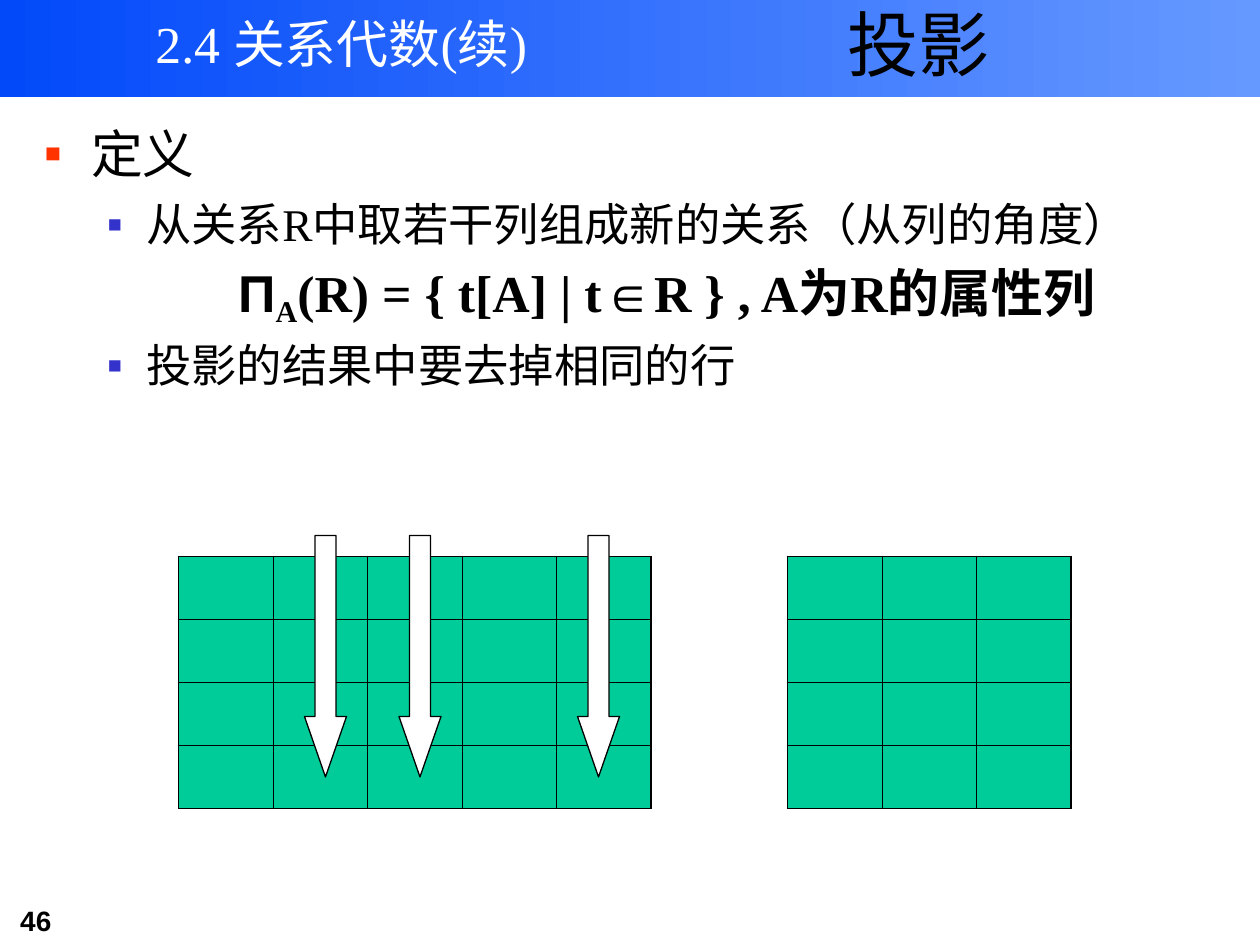
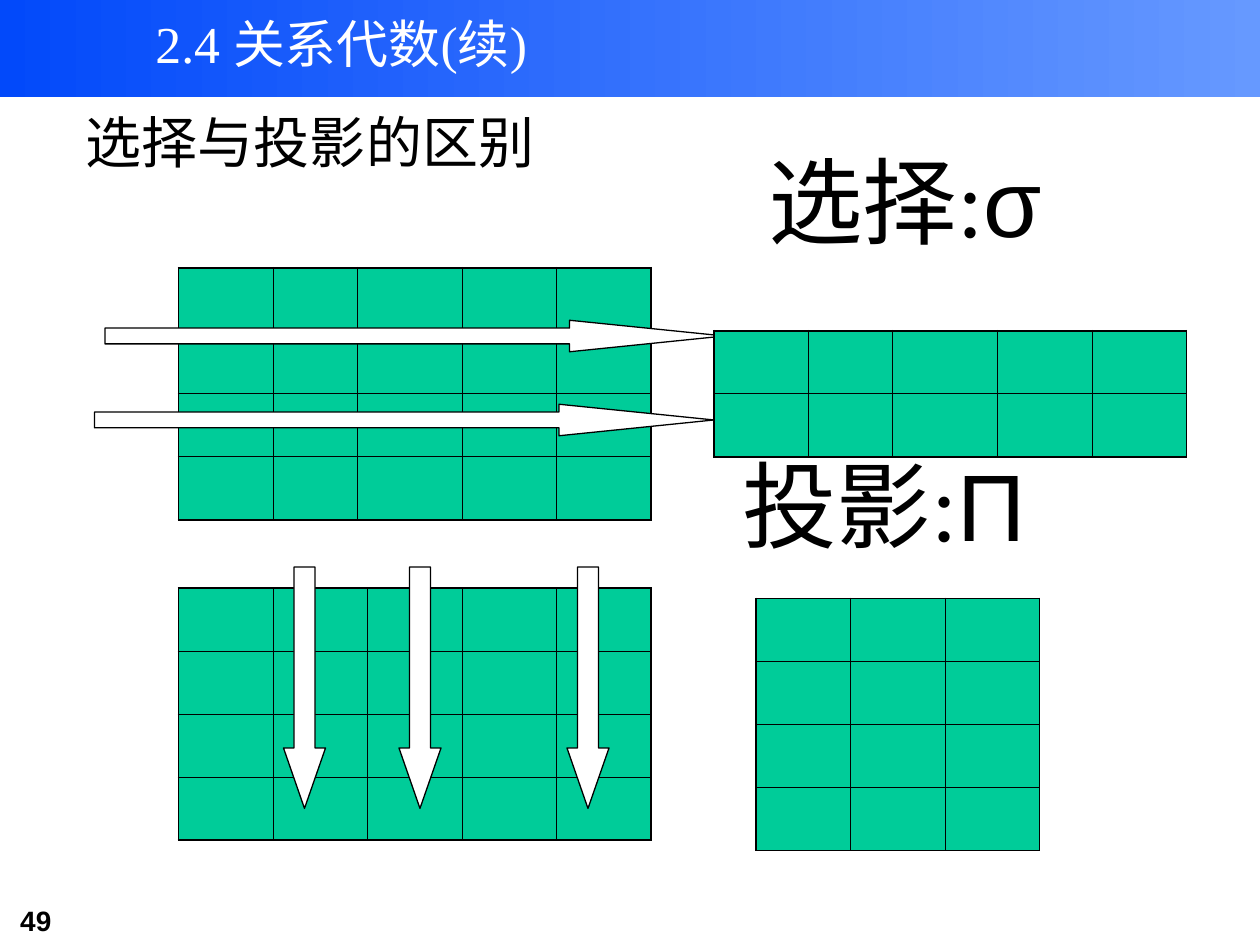
from lxml.etree import SubElement
from pptx import Presentation
from pptx.dml.color import RGBColor
from pptx.enum.lang import MSO_LANGUAGE_ID
from pptx.enum.shapes import MSO_SHAPE
from pptx.enum.text import MSO_ANCHOR, PP_ALIGN
from pptx.oxml.ns import qn
from pptx.util import Pt

# Shared style: 96 px to the inch
PX = 9525
BLACK = RGBColor(0x00, 0x00, 0x00)
WHITE = RGBColor(0xFF, 0xFF, 0xFF)
BAND_LEFT = RGBColor(0x02, 0x49, 0xFA)
BAND_RIGHT = RGBColor(0x66, 0x99, 0xFF)
CELL_GREEN = RGBColor(0x00, 0xCC, 0x99)
RED = RGBColor(0xFF, 0x33, 0x00)
BLUE = RGBColor(0x33, 0x33, 0xCC)
SERIF = "Times New Roman"
SANS = "Arial"
OUTER_LINE, INNER_LINE = Pt(1.08), Pt(0.45)

# Relation grids
ROW_HEIGHT = 48
EVEN_COLUMNS = [72] * 5
UNEVEN_COLUMNS = [72, 64, 80, 72, 72]
PROJECTED_COLUMNS = [72] * 3


def emu(*lengths):
    return [length * PX for length in lengths]


class Painter:
    def __init__(self):
        self.deck = Presentation()
        self.deck.slide_width, self.deck.slide_height = emu(960, 720)
        self.page = None

    def add_page(self, number):
        self.page = self.deck.slides.add_slide(self.deck.slide_layouts[6])
        band = self.shape(MSO_SHAPE.RECTANGLE, 0, 0, 960, 74)
        band.line.fill.background()
        band.fill.gradient()
        band.fill.gradient_angle = 0
        for stop, color in zip(band.fill.gradient_stops, (BAND_LEFT, BAND_RIGHT)):
            stop.color.rgb = color
        self.label(6, 684, 117, 36, [(number, SANS)], 16, bold=True)
        self.label(88, 1, 344, 64, [("2.4 关系代数(续)", SERIF)], 29.6, WHITE,
                   PP_ALIGN.CENTER, MSO_ANCHOR.MIDDLE)

    def shape(self, kind, *place):
        shape = self.page.shapes.add_shape(kind, *emu(*place))
        shape.shadow.inherit = False
        return shape

    def arrow(self, kind, left, top, width, height, head):
        arrow = self.shape(kind, left, top, width, height)
        arrow.adjustments[0] = 0.5
        arrow.adjustments[1] = head / min(width, height)
        arrow.fill.solid()
        arrow.fill.fore_color.rgb = WHITE
        arrow.line.color.rgb = BLACK
        arrow.line.width = Pt(0.75)

    def down_arrows(self, lefts, top):
        for left in lefts:
            self.arrow(MSO_SHAPE.DOWN_ARROW, left, top, 32, 184, 46)

    def text_box(self, *place, anchor=MSO_ANCHOR.TOP):
        frame = self.page.shapes.add_textbox(*emu(*place)).text_frame
        frame.word_wrap = True
        frame.vertical_anchor = anchor
        return frame

    def spans(self, para, runs, size, color=BLACK, bold=False):
        """Add runs given as (text, font) or (text, font, baseline)."""
        for text, font, *baseline in runs:
            span = para.add_run()
            span.text = text
            span.font.name = font
            span.font.size = Pt(size)
            span.font.bold = bold
            span.font.color.rgb = color
            span.font.language_id = MSO_LANGUAGE_ID.SIMPLIFIED_CHINESE
            if baseline:
                span.font._element.set("baseline", str(baseline[0] * 1000))

    def label(self, left, top, width, height, runs, size, color=BLACK,
              align=PP_ALIGN.LEFT, anchor=MSO_ANCHOR.TOP, bold=False):
        para = self.text_box(left, top, width, height, anchor=anchor).paragraphs[0]
        para.alignment = align
        self.spans(para, runs, size, color, bold)

    def indent(self, para, margin, hanging, bullet=None):
        properties = para._p.get_or_add_pPr()
        properties.set("marL", str(margin * PX))
        properties.set("indent", str(-hanging * PX))
        if bullet:
            color = SubElement(properties, qn("a:buClr"))
            SubElement(color, qn("a:srgbClr"), val=str(bullet))
            SubElement(properties, qn("a:buFont"), typeface=SANS)
            SubElement(properties, qn("a:buChar"), char="▪")

    def sub_point(self, frame, runs, size=25.9, before=7, bullet=BLUE, bold=False):
        para = frame.add_paragraph()
        para.level = 1
        self.indent(para, 78, 30, bullet)
        para.space_before = Pt(before)
        self.spans(para, runs, size, bold=bold)
        return para

    def border(self, cell, side, width):
        line = SubElement(cell._tc.get_or_add_tcPr(), qn(f"a:ln{side}"), w=str(width))
        fill = SubElement(line, qn("a:solidFill"))
        SubElement(fill, qn("a:srgbClr"), val=str(BLACK))

    def relation(self, left, top, columns, row_count=4):
        table = self.page.shapes.add_table(
            row_count, len(columns),
            *emu(left, top, sum(columns), row_count * ROW_HEIGHT)).table
        table.first_row = table.horz_banding = False
        for column, width in zip(table.columns, columns):
            column.width = width * PX
        for row_index, row in enumerate(table.rows):
            row.height = ROW_HEIGHT * PX
            for column_index, cell in enumerate(row.cells):
                edges = {"L": column_index == 0, "R": column_index == len(columns) - 1,
                         "T": row_index == 0, "B": row_index == row_count - 1}
                for side, is_outer in edges.items():
                    self.border(cell, side, OUTER_LINE if is_outer else INNER_LINE)
                cell.fill.solid()
                cell.fill.fore_color.rgb = CELL_GREEN


def projection_page(painter):
    painter.add_page("46")
    painter.label(580, -11, 240, 81, [("投影", SERIF)], 40.7,
                  align=PP_ALIGN.CENTER, anchor=MSO_ANCHOR.BOTTOM)

    # Definition
    body = painter.text_box(24, 88, 920, 256)
    heading = body.paragraphs[0]
    painter.indent(heading, 36, 36, RED)
    painter.spans(heading, [("定义", SERIF)], 29.6)
    painter.sub_point(body, [("从关系R中取若干列组成新的关系（从列的角度）", SERIF)])
    formula = painter.sub_point(
        body,
        [("Π", SANS), ("A", SERIF, -18), ("(R) = { t[A] | t", SERIF),
         ("∈", SANS), ("R } , A为R的属性列", SERIF)],
        size=29.6, before=8, bullet=None, bold=True)
    formula.alignment = PP_ALIGN.CENTER
    formula.line_spacing = 0.9
    painter.sub_point(body, [("投影的结果中要去掉相同的行", SERIF)])

    # Chosen columns and their projection
    painter.relation(136, 424, EVEN_COLUMNS)
    painter.down_arrows((232, 304, 440), 408)
    painter.relation(600, 424, PROJECTED_COLUMNS)


def comparison_page(painter):
    painter.add_page("49")

    # Projection takes columns
    painter.relation(136, 448, EVEN_COLUMNS)
    painter.relation(576, 456, PROJECTED_COLUMNS)
    painter.down_arrows((216, 304, 432), 432)

    # Selection takes rows
    painter.relation(136, 204, UNEVEN_COLUMNS)
    for left, top in ((80, 244), (72, 308)):
        painter.arrow(MSO_SHAPE.RIGHT_ARROW, left, top, 472, 24, 118)
    painter.relation(544, 252, UNEVEN_COLUMNS, row_count=2)

    # Captions
    painter.label(56, 77, 400, 61, [("选择与投影的区别", SERIF)], 32)
    painter.label(576, 104, 300, 96, [("选择:", SERIF), ("σ", SANS)], 54)
    painter.label(556, 336, 300, 105, [("投影:", SERIF), ("Π", SANS)], 54)


def main():
    painter = Painter()
    projection_page(painter)
    comparison_page(painter)
    painter.deck.save("out.pptx")


if __name__ == "__main__":
    main()
